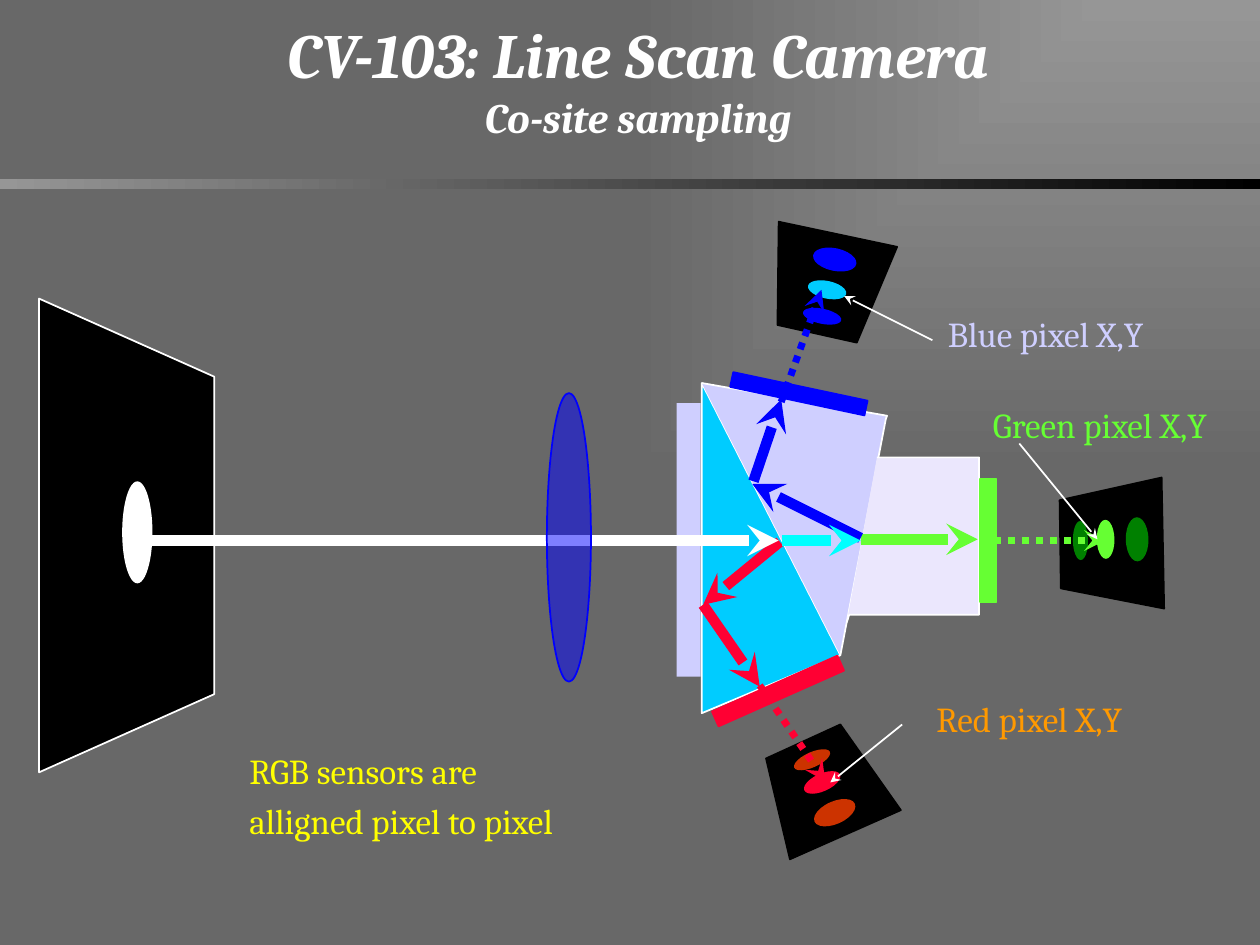
"""Build the co-site sampling slide of a line scan camera."""
from pptx import Presentation
from pptx.dml.color import RGBColor
from pptx.enum.dml import MSO_LINE
from pptx.enum.shapes import MSO_CONNECTOR, MSO_SHAPE
from pptx.enum.text import MSO_ANCHOR, PP_ALIGN
from pptx.oxml import parse_xml
from pptx.oxml.ns import nsdecls, qn
from pptx.util import Inches, Pt
from lxml.etree import SubElement

THEME = {
    "font": "Cambria", "title": 36, "subtitle": 24, "body": 20,
    "hairline": 1, "beam": 6, "dots": 4,
    "white": "FFFFFF", "black": "000000", "silver": "969696", "gray": "686868",
    "red": "FF0033", "rust": "CC3300", "orange": "FF9900", "yellow": "FFFF00",
    "lime": "66FF33", "green": "008000", "blue": "0000FF", "sky": "00CCFF",
    "cyan": "00FFFF", "lilac": "CFCFFF", "pale": "EBE7FD",
}

TITLE = ["CV-103: Line Scan Camera", "Co-site sampling"]
NOTE = ["RGB sensors are", "alligned pixel to pixel"]
LABELS = [
    ("Blue pixel X,Y", 7.25, 2.43, "lilac"),
    ("Red pixel X,Y", 7.12, 5.49, "orange"),
    ("Green pixel X,Y", 7.68, 3.15, "lime"),
]

TARGET = [(0.31, 6.13), (1.7, 5.51), (1.7, 2.99), (0.31, 2.37)]
TARGET_COLUMNS = [
    (0.5, 0.31, 0.92, (2.7, 3.78, 4.79)),
    (0.97, 0.24, 0.81, (2.87, 3.82, 4.79)),
    (1.34, 0.2, 0.79, (2.96, 3.85, 4.73)),
]
PIXEL_SIZES = [(0.35, 0.18), (0.31, 0.14), (0.31, 0.12)]
PANELS = [
    ([(9.24, 4.83), (8.42, 4.67), (8.41, 3.97), (9.22, 3.79)], 269,
     [(8.85, 4.19, "green"), (8.62, 4.21, "lime"), (8.42, 4.23, "green")]),
    ([(6.27, 6.82), (6.08, 6.02), (6.67, 5.75), (7.15, 6.43)], 336,
     [(6.45, 6.36, "rust"), (6.37, 6.14, "red"), (6.29, 5.97, "rust")]),
    ([(7.12, 1.96), (6.8, 2.72), (6.17, 2.58), (6.18, 1.76)], 192,
     [(6.45, 1.97, "blue"), (6.41, 2.23, "sky"), (6.37, 2.45, "blue")]),
]
PRISMS = [
    ([(5.57, 3.04), (5.57, 5.66), (6.67, 5.2)], "sky", True),
    ([(5.57, 3.04), (7.04, 3.3), (7.03, 3.33), (6.67, 5.2)], "lilac", False),
    ([(6.96, 3.63), (7.77, 3.63), (7.77, 4.88), (6.74, 4.88), (6.72, 4.94)], "pale", False),
]
SENSORS = [
    ((7.78, 3.8, 0.13, 0.98), "lime", 0),
    ((6.11, 4.94, 0.13, 1.09), "red", 66),
    ((6.28, 2.58, 0.12, 1.09), "blue", 282),
]
BEAMS = [
    ((6.83, 4.28), (7.76, 4.28), "lime"),
    ((6.19, 4.3), (5.58, 4.8), "red"),
    ((5.58, 4.8), (6.03, 5.45), "red"),
    ((6.83, 4.27), (5.97, 3.84), "blue"),
    ((5.98, 3.82), (6.2, 3.17), "blue"),
    ((6.21, 4.29), (6.83, 4.29), "cyan"),
    ((1.1, 4.29), (6.18, 4.29), "white"),
]
PROJECTIONS = [
    ((7.78, 4.29), (8.77, 4.29), "lime"),
    ((6.03, 5.44), (6.55, 6.2), "red"),
    ((6.2, 3.19), (6.52, 2.3), "blue"),
]
POINTERS = [
    ((7.4, 2.7), (6.7, 2.35), "white"),
    ((7.16, 5.75), (6.59, 6.21), "white"),
    ((8.09, 3.52), (8.71, 4.28), "white"),
]


def color(name):
    return RGBColor.from_string(THEME[name])


def set_gradient(fill, names):
    fill.gradient()
    for stop, name in zip(fill.gradient_stops, names):
        stop.color.rgb = color(name)


def paint(shape, fill, line=None):
    shape.shadow.inherit = False
    shape.fill.solid()
    shape.fill.fore_color.rgb = color(fill)
    if line:
        shape.line.color.rgb = color(line)
        shape.line.width = Pt(THEME["hairline"])
    else:
        shape.line.fill.background()
    return shape


def add_preset(page, kind, frame, fill, line=None, rotation=0):
    shape = page.shapes.add_shape(kind, *map(Inches, frame))
    shape.rotation = rotation
    return paint(shape, fill, line)


def add_outline(page, points, fill, line, close=True):
    corners = [(Inches(x), Inches(y)) for x, y in points]
    builder = page.shapes.build_freeform(*corners[0])
    builder.add_line_segments(corners[1:], close=close)
    return paint(builder.convert_to_shape(), fill, line)


def add_arrow(page, start, end, name, width, dash=None):
    arrow = page.shapes.add_connector(MSO_CONNECTOR.STRAIGHT, *map(Inches, start + end))
    arrow.line.color.rgb = color(name)
    arrow.line.width = Pt(THEME[width])
    if dash:
        arrow.line.dash_style = dash
    SubElement(arrow.line._get_or_add_ln(), qn("a:tailEnd"), type="stealth")
    SubElement(arrow._element.spPr, qn("a:effectLst"))
    return arrow


def format_span(span, name, size, strong=False):
    span.font.name = THEME["font"]
    span.font.size = Pt(THEME[size])
    span.font.color.rgb = color(name)
    span.font.bold = span.font.italic = strong


def add_text(page, frame, text, name, align, wrap=True):
    box = page.shapes.add_textbox(*map(Inches, frame))
    box.text_frame.word_wrap = wrap
    box.text_frame.text = text
    for para in box.text_frame.paragraphs:
        para.alignment = align
        for span in para.runs:
            format_span(span, name, "body")
    return box


def draw_backdrop(page):
    fill = page.background.fill
    set_gradient(fill, ("silver", "gray"))
    linear = page._element.find(".//" + qn("a:lin"))
    linear.getparent().replace(linear, parse_xml(
        f'<a:path {nsdecls("a")} path="rect"><a:fillToRect l="100000" b="100000"/></a:path>'))
    rule = add_preset(page, MSO_SHAPE.RECTANGLE, (0, 1.42, 10, 0.08), "black")
    set_gradient(rule.fill, ("silver", "black"))
    rule.fill.gradient_angle = 0


def draw_title(page):
    box = add_text(page, (1.19, 0, 7.75, 1.25), "\v".join(TITLE), "white", PP_ALIGN.CENTER)
    box.text_frame.vertical_anchor = MSO_ANCHOR.MIDDLE
    for span, size in zip(box.text_frame.paragraphs[0].runs, ("title", "subtitle")):
        format_span(span, "white", size, True)


def draw_panels(page):
    add_outline(page, TARGET, "black", "white")
    for column, (left, width, height, tops) in enumerate(TARGET_COLUMNS):
        for row, top in enumerate(tops):
            fill = "white" if column == row == 1 else "black"
            add_preset(page, MSO_SHAPE.OVAL, (left, top, width, height), fill)
    for points, rotation, pixels in PANELS:
        add_outline(page, points, "black", "black")
        for (left, top, fill), size in zip(pixels, PIXEL_SIZES):
            add_preset(page, MSO_SHAPE.OVAL, (left, top) + size, fill, rotation=rotation)


def draw_optics(page):
    add_preset(page, MSO_SHAPE.RECTANGLE, (5.37, 3.2, 0.19, 2.17), "lilac")
    for points, fill, close in PRISMS:
        add_outline(page, points, fill, "white", close)
    sensors = [add_preset(page, MSO_SHAPE.RECTANGLE, frame, name, name, rotation)
               for frame, name, rotation in SENSORS]
    for beam in BEAMS:
        add_arrow(page, *beam, "beam")
    lens = add_preset(page, MSO_SHAPE.OVAL, (4.34, 3.12, 0.35, 2.29), "blue", "blue")
    tint = lens._element.spPr.find(qn("a:solidFill"))[0]
    SubElement(tint, qn("a:alpha"), val="50000")
    dotted = [add_arrow(page, *ray, "dots", MSO_LINE.ROUND_DOT) for ray in PROJECTIONS]
    dotted[0].begin_connect(sensors[0], 1)


def draw_labels(page):
    for text, left, top, name in LABELS:
        add_text(page, (left, top, 2.1, 0.43), text, name, PP_ALIGN.CENTER)
    for pointer in POINTERS:
        add_arrow(page, *pointer, "hairline")
    note = add_text(page, (1.88, 5.9, 2.75, 0.83), "\n".join(NOTE), "yellow", PP_ALIGN.LEFT, False)
    note.text_frame.paragraphs[1].space_before = Pt(4.5)


def main():
    deck = Presentation()
    deck.slide_width, deck.slide_height = Inches(10), Inches(7.5)
    page = deck.slides.add_slide(deck.slide_layouts[6])
    for draw in (draw_backdrop, draw_title, draw_panels, draw_optics, draw_labels):
        draw(page)
    deck.save("out.pptx")


if __name__ == "__main__":
    main()
